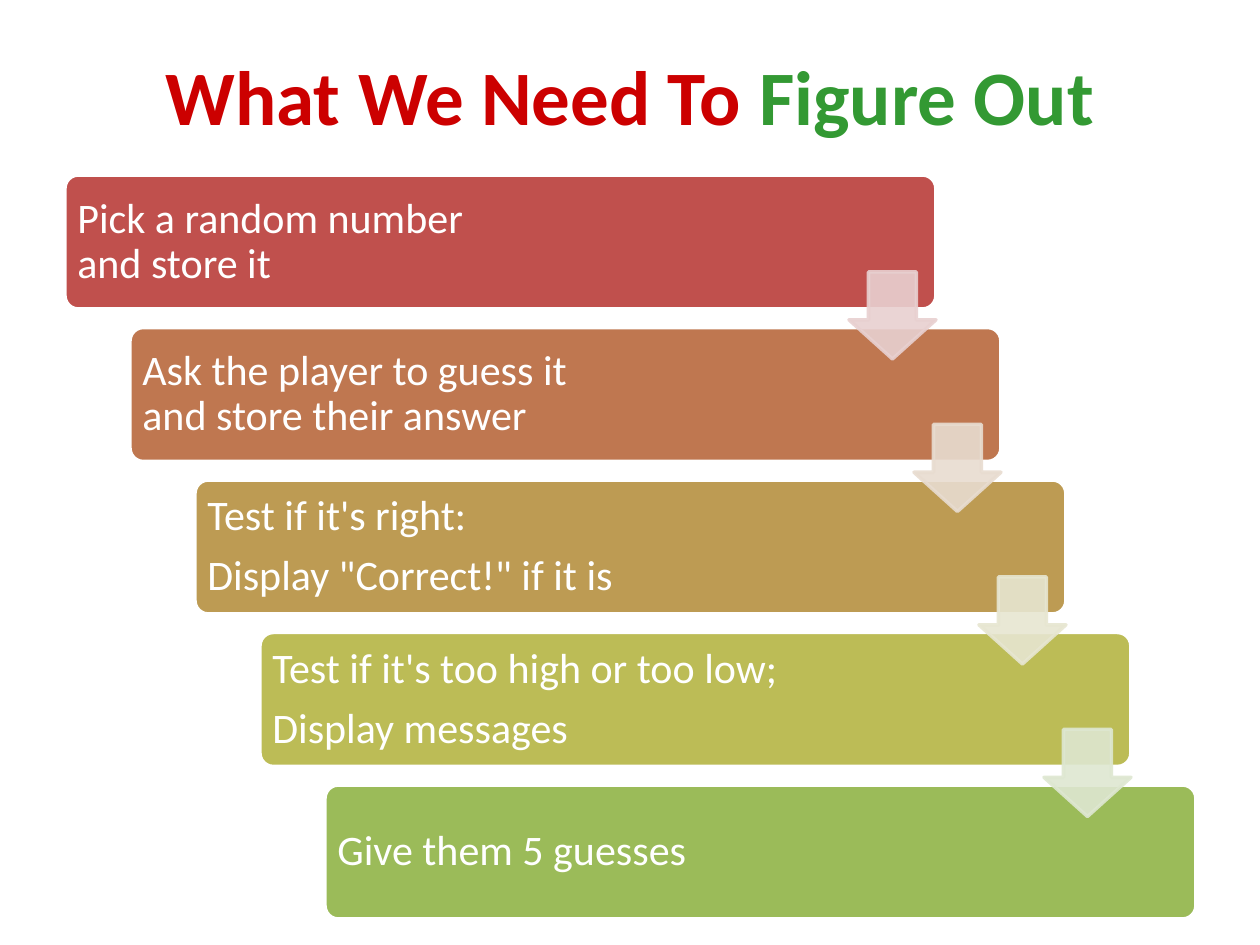
from lxml.etree import SubElement
from pptx import Presentation
from pptx.dml.color import RGBColor
from pptx.enum.shapes import MSO_SHAPE as Shape
from pptx.enum.text import MSO_ANCHOR as Anchor, PP_ALIGN as Align
from pptx.oxml.ns import qn
from pptx.util import Inches, Pt

PX = Inches(1) / 126
WHITE = RGBColor(0xFF, 0xFF, 0xFF)
RED = RGBColor(0xCC, 0x00, 0x00)
GREEN = RGBColor(0x33, 0x99, 0x33)

# Bar colour, arrow colour (none after the last step), paragraphs
STEPS = [
    (RGBColor(0xC0, 0x50, 0x4D), RGBColor(0xE8, 0xD0, 0xD0),
     ["Pick a random number\vand store it"]),
    (RGBColor(0xBF, 0x77, 0x50), RGBColor(0xE8, 0xDC, 0xD0),
     ["Ask the player to guess it\vand store their answer"]),
    (RGBColor(0xBD, 0x9B, 0x53), RGBColor(0xE7, 0xE6, 0xD1),
     ["Test if it's right:", 'Display "Correct!" if it is']),
    (RGBColor(0xBC, 0xBC, 0x56), RGBColor(0xDE, 0xE7, 0xD1),
     ["Test if it's too high or too low;", "Display messages"]),
    (RGBColor(0x9B, 0xBB, 0x59), None,
     ["Give them 5 guesses"]),
]
LEFT, TOP = 65, 175
STEP_X, STEP_Y = 65, 152.5
BAR_W, BAR_H, LABEL_W = 871, 134, 719
ARROW_X, ARROW_Y, ARROW_SIZE = 784, 97, 87


def add_block(kind, box, adjustments, fill, line):
    """Add a filled preset shape with a 2 pt outline; box is in pixels."""
    block = slide.shapes.add_shape(kind, *[round(v * PX) for v in box])
    block.shadow.inherit = False
    for index, value in enumerate(adjustments):
        block.adjustments[index] = value
    block.fill.solid()
    block.fill.fore_color.rgb = fill
    block.line.color.rgb = line
    block.line.width = Pt(2)
    return block


def add_text(box, paragraphs, size):
    """Add a wrapped, vertically centred text box and return its frame."""
    frame = slide.shapes.add_textbox(*[round(v * PX) for v in box]).text_frame
    frame.word_wrap = True
    frame.vertical_anchor = Anchor.MIDDLE
    frame.text = "\n".join(paragraphs)
    for paragraph in frame.paragraphs:
        for run in paragraph.runs:
            run.font.name = "Calibri"
            run.font.size = Pt(size)
            run.font.color.rgb = WHITE
    return frame


deck = Presentation()
deck.slide_width, deck.slide_height = Inches(10), Inches(7.5)
slide = deck.slides.add_slide(deck.slide_layouts[6])

title = add_text((63, 16, 1134, 158), ["What We Need To "], 44).paragraphs[0]
title.alignment = Align.CENTER
title.add_run().text = "Figure Out"
for run, color in zip(title.runs, (RED, GREEN)):
    run.font.name = "Calibri"
    run.font.size = Pt(44)
    run.font.bold = True
    run.font.color.rgb = color

for number, (bar_color, _, paragraphs) in enumerate(STEPS):
    x, y = LEFT + number * STEP_X, TOP + number * STEP_Y
    add_block(Shape.ROUNDED_RECTANGLE, (x, y, BAR_W, BAR_H), [0.1],
              bar_color, WHITE)
    label = add_text((x, y, LABEL_W, BAR_H), paragraphs, 24)
    label.margin_left = label.margin_right = Inches(0.1)
    label.margin_top = label.margin_bottom = Inches(0.1)
    for paragraph in label.paragraphs:
        paragraph.line_spacing = 0.9
        paragraph.space_after = Pt(8.4)

for number, (_, arrow_color, _) in enumerate(STEPS[:-1]):
    x = LEFT + number * STEP_X + ARROW_X
    y = TOP + number * STEP_Y + ARROW_Y
    arrow = add_block(Shape.DOWN_ARROW, (x, y, ARROW_SIZE, ARROW_SIZE),
                      [0.55, 0.45], arrow_color, arrow_color)
    for color in arrow.element.spPr.iter(qn("a:srgbClr")):
        SubElement(color, qn("a:alpha"), val="90000")

deck.save("out.pptx")
